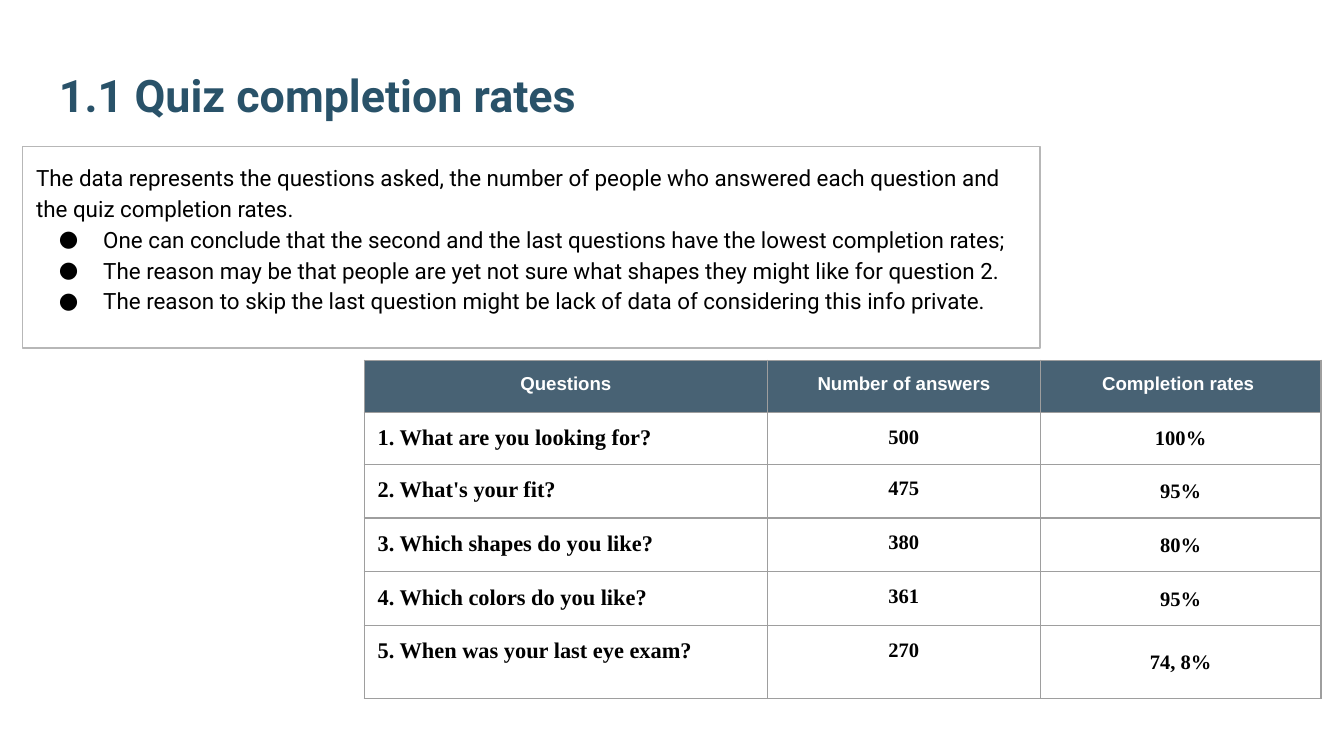
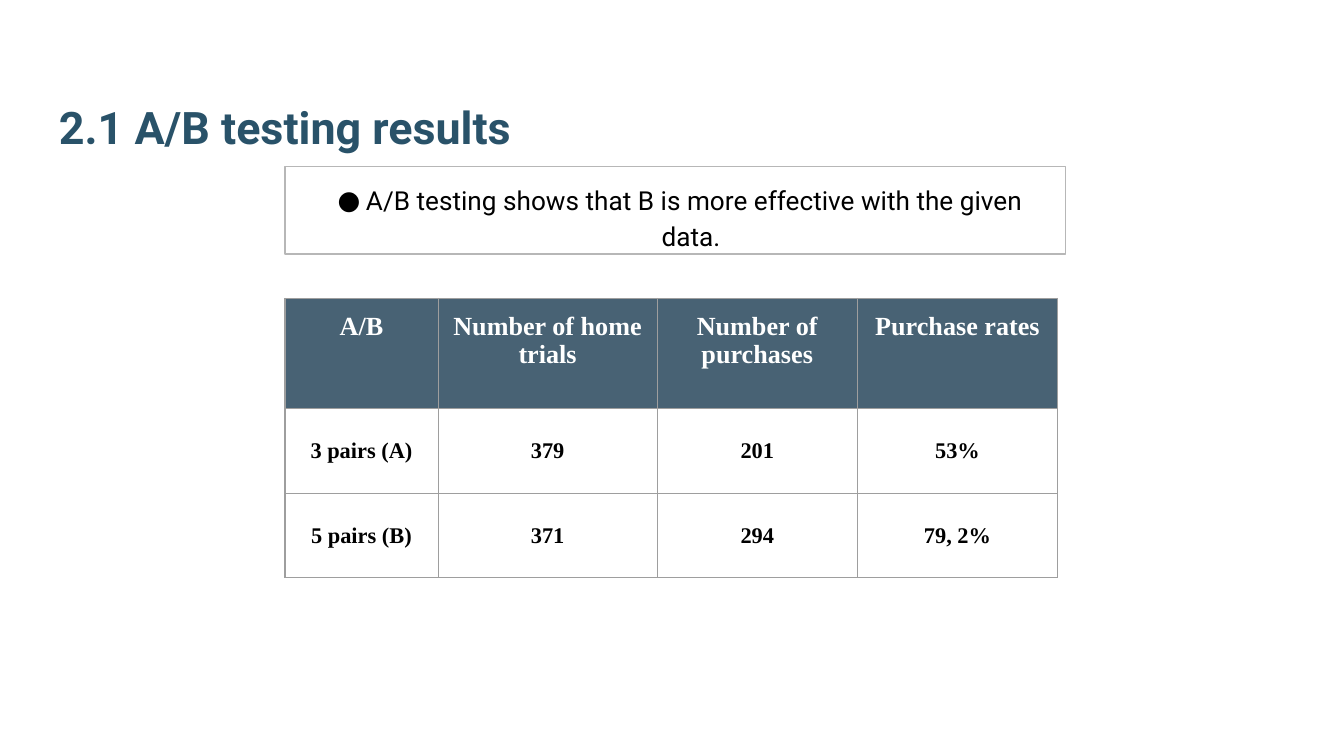
from lxml import etree
from pptx import Presentation
from pptx.dml.color import RGBColor
from pptx.enum import shapes, text
from pptx.oxml import ns
from pptx.util import Pt

SCALE = 9144
NAVY = RGBColor(0x29, 0x52, 0x69)
SLATE = RGBColor(0x20, 0x40, 0x56)
RULE = RGBColor(0x9E, 0x9E, 0x9E)
EDGE = RGBColor(0xB7, 0xB7, 0xB7)
WHITE = RGBColor(0xFF, 0xFF, 0xFF)
BLACK = RGBColor(0, 0, 0)
SANS, ARIAL, SERIF = "Roboto", "Arial", "Times New Roman"
LEFT, MID = text.PP_ALIGN.LEFT, text.PP_ALIGN.CENTER
TOP, CORE, LOW = (text.MSO_ANCHOR.TOP, text.MSO_ANCHOR.MIDDLE,
                  text.MSO_ANCHOR.BOTTOM)
WIDE, SNUG, PLAIN = (10, 10, 10, 10), (1, 1, 1, 0), (10, 5, 10, 5)


def px(n):
    return n * SCALE


def node(top, tag, **attrs):
    return etree.SubElement(top, ns.qn(tag), attrs)


def pad(item, inset):
    (item.margin_left, item.margin_top,
     item.margin_right, item.margin_bottom) = map(px, inset)


def write(para, words, size=12, face=SANS, color=BLACK, bold=False,
          align=LEFT, lead=None, hang=None):
    if hang:
        props = para._p.get_or_add_pPr()
        props.set("marL", str(px(hang[0])))
        props.set("indent", str(px(hang[1])))
        tint = node(props, "a:buClr")
        node(tint, "a:srgbClr", val=str(BLACK))
        node(props, "a:buFont", typeface=face)
        node(props, "a:buChar", char="●")
    para.alignment = align
    if lead:
        para.line_spacing = lead
    run = para.add_run()
    run.text = words
    font = run.font
    font.size, font.name, font.bold = Pt(size), face, bold
    font.color.rgb = color


def title(slide, box, words):
    frame = slide.shapes.add_textbox(*map(px, box)).text_frame
    frame.word_wrap = True
    frame.vertical_anchor = LOW
    pad(frame, WIDE)
    write(frame.paragraphs[0], words, size=24, color=NAVY, bold=True)


def note(slide, box, lines, inset=WIDE, **style):
    shape = slide.shapes.add_shape(shapes.MSO_SHAPE.RECTANGLE, *map(px, box))
    shape.shadow.inherit = False
    shape.fill.background()
    shape.line.color.rgb = EDGE
    shape.line.width = Pt(0.75)
    frame = shape.text_frame
    frame.word_wrap = True
    frame.vertical_anchor = TOP
    pad(frame, inset)
    for i, (words, hang) in enumerate(lines):
        para = frame.add_paragraph() if i else frame.paragraphs[0]
        write(para, words, lead=1.15, hang=hang, **style)


def frame_cell(cell):
    props = cell._tc.get_or_add_tcPr()
    for i, side in enumerate("LRTB"):
        line = node(props, "a:ln" + side, w=str(Pt(0.75)))
        fill = node(line, "a:solidFill")
        node(fill, "a:srgbClr", val=str(RULE))
        props.insert(i, line)


def place(cell, anchor, inset):
    cell.vertical_anchor = anchor
    pad(cell, inset)


def grid(slide, box, cols, rows, data, head, body):
    holder = slide.shapes.add_table(len(rows), len(cols), *map(px, box))
    table = holder.table
    table.first_row = table.horz_banding = False
    for col, width in zip(table.columns, cols):
        col.width = px(width)
    for row, height in zip(table.rows, rows):
        row.height = px(height)
    holder.width, holder.height = map(px, box[2:])
    for r, line in enumerate(data):
        for c, words in enumerate(line):
            cell = table.cell(r, c)
            para = cell.text_frame.paragraphs[0]
            if r:
                anchor, inset, style = body[c]
                place(cell, anchor, inset)
                cell.fill.background()
                write(para, words, face=SERIF, bold=True, **style)
            else:
                place(cell, TOP, WIDE)
                cell.fill.solid()
                cell.fill.fore_color.rgb = SLATE
                tint = cell._tc.tcPr.find(".//" + ns.qn("a:srgbClr"))
                node(tint, "a:alpha", val="82000")
                write(para, words, color=WHITE, bold=True, align=MID, **head)
            frame_cell(cell)
    return table


def quiz(slide):
    title(slide, (34, 8, 932, 92), "1.1 Quiz completion rates")
    hang = (50, -33)
    note(slide, (17, 109, 757, 150), [
        ("The data represents the questions asked, the number of people who "
         "answered each question and the quiz completion rates.", None),
        ("One can conclude that the second and the last questions have the "
         "lowest completion rates;", hang),
        ("The reason may be that people are yet not sure what shapes they "
         "might like for question 2.", hang),
        ("The reason to skip the last question might be lack of data of "
         "considering this info private.", hang),
    ])
    count = dict(size=11, align=MID)
    table = grid(
        slide, (271, 268, 712, 251), (300, 203, 209),
        (39, 36, 39, 36, 36, 54),
        [("Questions", "Number of answers", "Completion rates "),
         ("1. What are you looking for?", "500", "100%"),
         ("2. What's your fit?", "475", "95%"),
         ("3. Which shapes do you like?", "380", "80%"),
         ("4. Which colors do you like?", "361", "95%"),
         ("5. When was your last eye exam?", "270", "74, 8%")],
        dict(size=10, face=ARIAL),
        [(TOP, WIDE, dict(size=12)), (TOP, WIDE, count), (CORE, SNUG, count)])
    place(table.cell(1, 0), CORE, PLAIN)


def trial(slide):
    title(slide, (34, 32, 932, 92), "2.1 A/B testing results")
    note(slide, (212, 124, 581, 65), [
        ("A/B testing shows that B is more effective with the given data. ",
         (19, -21))], inset=(19, 10, 10, 10), size=14, align=MID)
    grid(slide, (212, 222, 575, 216), (114, 163, 149, 149), (82, 63, 63),
         [("A/B", "Number of home trials", "Number of purchases",
           "Purchase rates"),
          ("3 pairs (A)", "379", "201", "53%"),
          ("5 pairs (B)", "371", "294", "79, 2%")],
         dict(size=14, face=SERIF),
         [(CORE, PLAIN, dict(size=12, align=MID))] * 4)


def main():
    deck = Presentation()
    deck.slide_width = px(1000)
    deck.slide_height = deck.slide_width * 9 // 16
    for build in (quiz, trial):
        build(deck.slides.add_slide(deck.slide_layouts[6]))
    deck.save("out.pptx")


if __name__ == "__main__":
    main()
